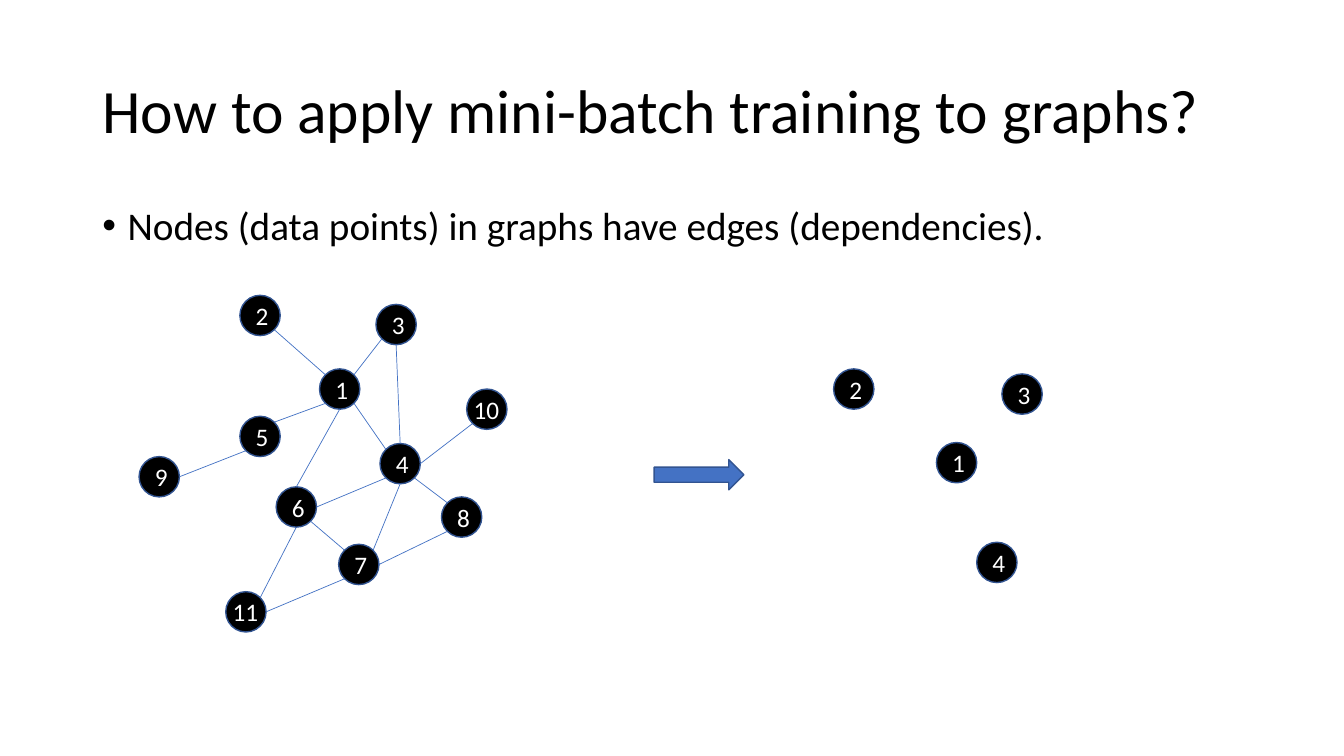
from enum import Enum
from typing import NamedTuple

from lxml.etree import SubElement
from pptx import Presentation
from pptx.dml.color import RGBColor
from pptx.enum.shapes import MSO_CONNECTOR, MSO_SHAPE
from pptx.enum.text import MSO_ANCHOR, MSO_AUTO_SIZE, PP_ALIGN
from pptx.oxml.ns import qn
from pptx.util import Inches, Length, Pt

COLUMNS, ROWS = 40, 22.5
SLIDE_WIDTH, SLIDE_HEIGHT = Inches(13.33), Inches(7.5)
NODE_SIZE = 1.2
LABEL_WIDTH = 1.38
FONT = "Calibri"
BLACK, WHITE, BLUE, DARK_BLUE = "000000", "FFFFFF", "4472C4", "325491"


class Side(Enum):
    """Point on a node's rim, as a direction from its centre."""
    N = (0, -1)
    NE = (0.71, -0.71)
    E = (1, 0)
    SE = (0.71, 0.71)
    S = (0, 1)
    SW = (-0.71, 0.71)
    NW = (-0.71, -0.71)


class Node(NamedTuple):
    """Numbered node with its centre in grid columns and rows."""
    number: int
    column: float
    row: float


class Edge(NamedTuple):
    """Link between the rims of two numbered nodes."""
    start: int
    start_side: Side
    end: int
    end_side: Side


GRAPH_NODES = [
    Node(1, 10.11, 11.58), Node(2, 7.74, 9.39), Node(6, 8.82, 15.09),
    Node(10, 14.49, 12.18), Node(7, 10.68, 16.8), Node(5, 7.74, 12.99),
    Node(3, 11.79, 9.66), Node(4, 11.91, 13.8), Node(9, 4.74, 14.19),
    Node(8, 13.74, 15.39), Node(11, 7.32, 18.21),
]
GRAPH_EDGES = [
    Edge(3, Side.SW, 1, Side.NE), Edge(2, Side.SE, 1, Side.NW),
    Edge(1, Side.SW, 5, Side.NE), Edge(1, Side.SE, 4, Side.NW),
    Edge(6, Side.E, 4, Side.SW), Edge(3, Side.S, 4, Side.N),
    Edge(9, Side.E, 5, Side.SW), Edge(6, Side.SE, 7, Side.NW),
    Edge(8, Side.SW, 7, Side.E), Edge(4, Side.SE, 8, Side.NW),
    Edge(1, Side.S, 6, Side.N), Edge(4, Side.S, 7, Side.NE),
    Edge(4, Side.E, 10, Side.SW), Edge(11, Side.NE, 6, Side.S),
    Edge(11, Side.E, 7, Side.SW),
]
BATCH_NODES = [
    Node(1, 28.47, 13.77), Node(2, 25.41, 11.58),
    Node(3, 30.42, 11.73), Node(4, 29.67, 16.74),
]


def x(columns: float) -> Length:
    """Convert grid columns to a length."""
    return Length(round(SLIDE_WIDTH * columns / COLUMNS))


def y(rows: float) -> Length:
    """Convert grid rows to a length."""
    return Length(round(SLIDE_HEIGHT * rows / ROWS))


def rgb(color: str) -> RGBColor:
    """Turn a hex string into a colour."""
    return RGBColor.from_string(color)


def style_text(paragraph, size: float, color: str, align: PP_ALIGN) -> None:
    """Set the font and alignment of a paragraph."""
    paragraph.alignment = align
    paragraph.font.name = FONT
    paragraph.font.size = Pt(size)
    paragraph.font.color.rgb = rgb(color)


def style_shape(shape, fill: str) -> None:
    """Give a shape its fill and thin outline, without shadow."""
    shape.shadow.inherit = False
    shape.fill.solid()
    shape.fill.fore_color.rgb = rgb(fill)
    shape.line.color.rgb = rgb(DARK_BLUE)
    shape.line.width = Pt(1)


def fill_placeholder(holder, text: str, size: float, top: float, height: float,
                     anchor: MSO_ANCHOR):
    """Place a placeholder on the grid and return its single paragraph."""
    holder.left, holder.top = x(2.75), y(top)
    holder.width, holder.height = x(34.5), y(height)
    frame = holder.text_frame
    frame.text = text
    frame.vertical_anchor = anchor
    frame.auto_size = MSO_AUTO_SIZE.NONE
    paragraph = frame.paragraphs[0]
    paragraph.line_spacing = 0.9
    paragraph.space_before = Pt(0)
    return paragraph


def add_bullet(paragraph) -> None:
    """Give a paragraph a round bullet and a hanging indent."""
    properties = paragraph._p.get_or_add_pPr()
    properties.set("marL", str(Inches(0.25)))
    properties.set("indent", str(-Inches(0.25)))
    SubElement(properties, qn("a:buFont"), typeface="Arial")
    SubElement(properties, qn("a:buChar"), char="•")


def draw_node(shapes, node: Node) -> None:
    """Draw a node; numbers of two digits get a wider label of their own."""
    left, top = node.column - NODE_SIZE / 2, node.row - NODE_SIZE / 2
    circle = shapes.add_shape(MSO_SHAPE.OVAL, x(left), y(top), x(NODE_SIZE), y(NODE_SIZE))
    style_shape(circle, BLACK)
    frame, align = circle.text_frame, PP_ALIGN.CENTER
    frame.vertical_anchor = MSO_ANCHOR.MIDDLE
    if node.number > 9:
        label = shapes.add_textbox(x(node.column - LABEL_WIDTH / 2), y(top),
                                   x(LABEL_WIDTH), y(NODE_SIZE))
        frame, align = label.text_frame, PP_ALIGN.LEFT
        frame.word_wrap = False
        frame.auto_size = MSO_AUTO_SIZE.SHAPE_TO_FIT_TEXT
    frame.text = str(node.number)
    style_text(frame.paragraphs[0], 18, WHITE, align)


def rim_point(node: Node, side: Side) -> tuple[Length, Length]:
    """Find the point on a node's rim in a given direction."""
    across, down = side.value
    radius = NODE_SIZE / 2
    return x(node.column + across * radius), y(node.row + down * radius)


def draw_edge(shapes, edge: Edge, nodes: dict[int, Node]) -> None:
    """Draw the line that links two nodes."""
    start = rim_point(nodes[edge.start], edge.start_side)
    end = rim_point(nodes[edge.end], edge.end_side)
    link = shapes.add_connector(MSO_CONNECTOR.STRAIGHT, *start, *end)
    link.line.color.rgb = rgb(BLUE)
    link.line.width = Pt(0.5)
    SubElement(link._element.spPr, qn("a:effectLst"))


def main() -> None:
    """Build the slide and save it."""
    deck = Presentation()
    deck.slide_width, deck.slide_height = SLIDE_WIDTH, SLIDE_HEIGHT
    slide = deck.slides.add_slide(deck.slide_layouts[1])

    title = fill_placeholder(slide.shapes.title, "How to apply mini-batch training to graphs?",
                             44, 1.2, 4.35, MSO_ANCHOR.MIDDLE)
    style_text(title, 44, BLACK, PP_ALIGN.LEFT)
    point = fill_placeholder(slide.placeholders[1],
                             "Nodes (data points) in graphs have edges (dependencies).",
                             28, 6, 14.28, MSO_ANCHOR.TOP)
    add_bullet(point)
    style_text(point, 28, BLACK, PP_ALIGN.LEFT)

    graph = slide.shapes.add_group_shape().shapes
    for node in GRAPH_NODES:
        draw_node(graph, node)
    nodes_by_number = {node.number: node for node in GRAPH_NODES}
    for edge in GRAPH_EDGES:
        draw_edge(graph, edge, nodes_by_number)

    for node in BATCH_NODES:
        draw_node(slide.shapes, node)
    arrow = slide.shapes.add_shape(MSO_SHAPE.RIGHT_ARROW, x(19.47), y(13.68), x(2.67), y(0.9))
    style_shape(arrow, BLUE)

    deck.save("out.pptx")


if __name__ == "__main__":
    main()
